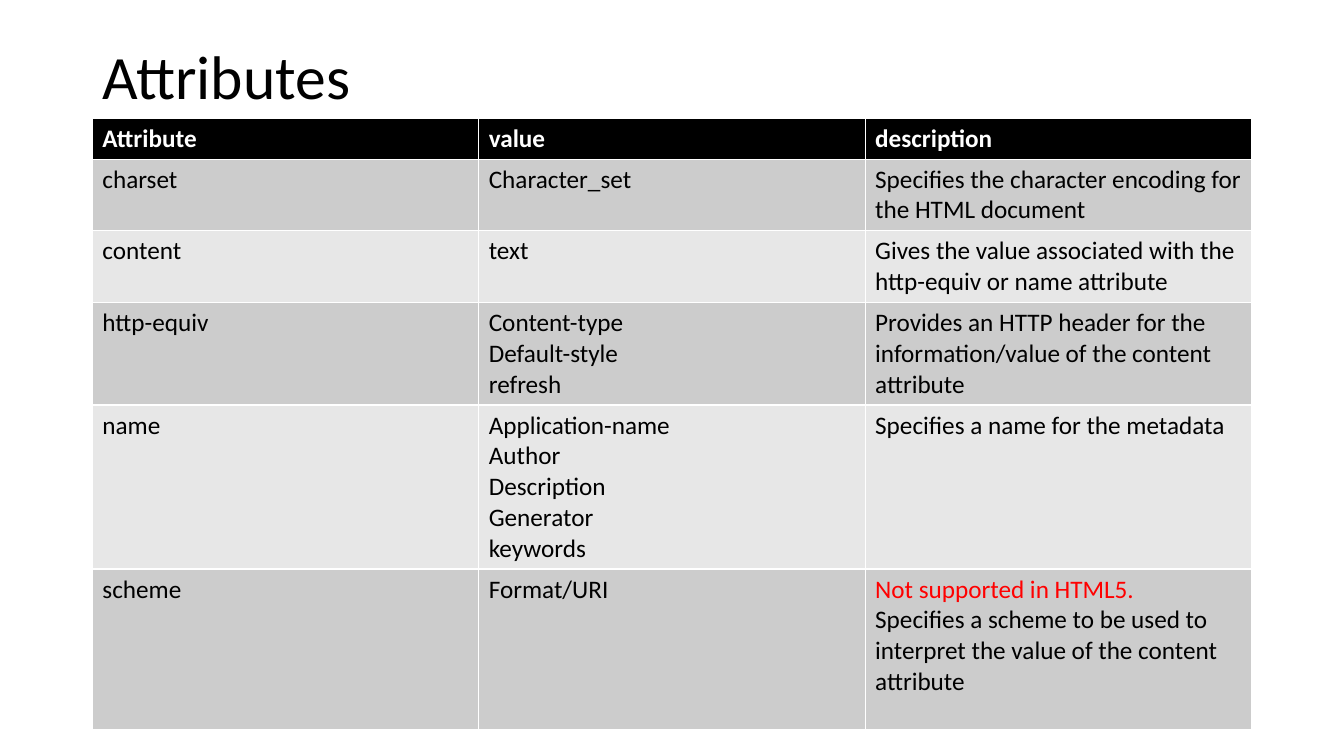
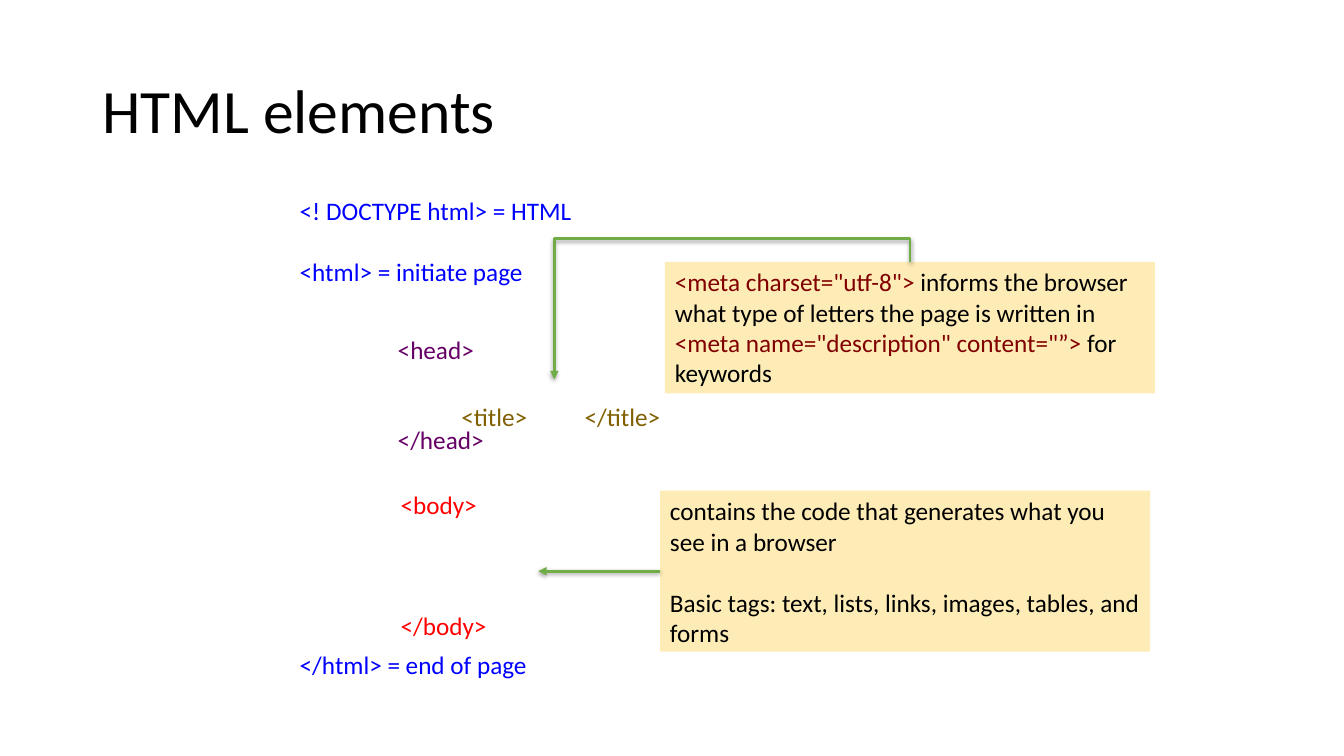
from lxml import etree
from pptx import Presentation
from pptx.dml.color import RGBColor
from pptx.enum import shapes, text
from pptx.oxml import ns
from pptx.util import Pt

COLORS = {
    "ink": "000000", "paper": "FFFFFF", "band": "CCCCCC", "light": "E7E7E7",
    "red": "FF0000", "blue": "0000FF", "purple": "660066", "olive": "806000",
    "maroon": "800000", "note": "FEE599", "green": "70AD47",
}
LINE = 22


def rgb(name):
    return RGBColor.from_string(COLORS[name])


def sub(parent, tag, **attrs):
    return etree.SubElement(parent, ns.qn(tag), {k: str(v) for k, v in attrs.items()})


class Deck:
    font = "Calibri"
    left, width = 66, 828

    def __init__(self):
        self.prs = Presentation()
        self.prs.slide_width, self.prs.slide_height = Pt(960), Pt(540)
        self.s = None

    def slide(self, title, height):
        self.s = self.prs.slides.add_slide(self.prs.slide_layouts[6])
        tf = self.text(self.left, 29, self.width, height, [title], size=44)
        tf.vertical_anchor = text.MSO_ANCHOR.MIDDLE
        tf.paragraphs[0].line_spacing = 0.9

    def set_text(self, tf, paras, color="ink", size=18, bold=False, gap=0):
        tf.word_wrap = True
        for i, para in enumerate(paras):
            p = tf.paragraphs[0] if i == 0 else tf.add_paragraph()
            p.alignment = text.PP_ALIGN.LEFT
            if i and gap:
                p.space_before = Pt(gap)
            p.font.name, p.font.size, p.font.bold = self.font, Pt(size), bold
            if isinstance(para, str):
                p.font.color.rgb = rgb(color)
                p.add_run().text = para
                continue
            for words, shade in para:
                r = p.add_run()
                r.text = words
                r.font.color.rgb = rgb(shade)

    def text(self, x, y, w, h, paras, **style):
        tf = self.s.shapes.add_textbox(Pt(x), Pt(y), Pt(w), Pt(h)).text_frame
        self.set_text(tf, paras, **style)
        return tf

    def note(self, x, y, w, h, paras, **style):
        sp = self.s.shapes.add_shape(shapes.MSO_SHAPE.RECTANGLE, Pt(x), Pt(y), Pt(w), Pt(h))
        sp.shadow.inherit = False
        sp.fill.solid()
        sp.fill.fore_color.rgb = rgb("note")
        sub(sp._element.spPr.find(".//" + ns.qn("a:srgbClr")), "a:alpha", val=70000)
        sp.line.fill.background()
        sp.text_frame.vertical_anchor = text.MSO_ANCHOR.TOP
        self.set_text(sp.text_frame, paras, **style)
        return sp

    def arrow(self, kind, x1, y1, x2, y2):
        c = self.s.shapes.add_connector(kind, Pt(x1), Pt(y1), Pt(x2), Pt(y2))
        c.line.color.rgb = rgb("green")
        c.line.width = Pt(2)
        spPr = c._element.spPr
        sub(spPr.find(ns.qn("a:ln")), "a:tailEnd", type="triangle")
        shadow = sub(sub(spPr, "a:effectLst"), "a:outerShdw", blurRad=Pt(3.1),
                     dist=Pt(1.6), dir=5400000, rotWithShape=0)
        sub(sub(shadow, "a:srgbClr", val=COLORS["ink"]), "a:alpha", val=38000)
        return c

    def straight_arrow(self, box, x, y):
        c = self.arrow(shapes.MSO_CONNECTOR.STRAIGHT, x, y, x, y)
        c.begin_connect(box, 1)

    def over_arrow(self, x1, y1, x2, y2, rise):
        w, h = y2 - y1, x1 - x2
        x, y = (x1 + x2 - w) / 2, (y1 + y2 - h) / 2
        c = self.arrow(shapes.MSO_CONNECTOR.ELBOW, x, y, x + w, y + h)
        spPr = c._element.spPr
        spPr.find(ns.qn("a:xfrm")).set("rot", "5400000")
        geom = spPr.find(ns.qn("a:prstGeom"))
        guides = geom.find(ns.qn("a:avLst"))
        if guides is None:
            guides = sub(geom, "a:avLst")
        sub(guides, "a:gd", name="adj1", fmla=f"val {round(-rise / w * 100000)}")

    def table(self, y, rows, heights):
        cols = len(rows[0])
        frame = self.s.shapes.add_table(len(rows), cols, Pt(self.left), Pt(y),
                                        Pt(self.width), Pt(sum(heights)))
        for i, row in enumerate(rows):
            frame.table.rows[i].height = Pt(heights[i])
            fill = "ink" if i == 0 else "band" if i % 2 else "light"
            for j, paras in enumerate(row):
                cell = frame.table.cell(i, j)
                self.set_text(cell.text_frame, paras, color="ink" if i else "paper",
                              bold=i == 0)
                tcPr = cell._tc.get_or_add_tcPr()
                for side in ("a:lnL", "a:lnR", "a:lnT", "a:lnB"):
                    ln = sub(tcPr, side, w=Pt(1))
                    sub(sub(ln, "a:solidFill"), "a:srgbClr", val=COLORS["paper"])
                cell.fill.solid()
                cell.fill.fore_color.rgb = rgb(fill)


def attributes(d):
    d.slide("Attributes", 55)
    rows = [
        (["Attribute"], ["value"], ["description"]),
        (["charset"], ["Character_set"],
         ["Specifies the character encoding for the HTML document"]),
        (["content"], ["text"],
         ["Gives the value associated with the http-equiv or name attribute"]),
        (["http-equiv"], ["Content-type", "Default-style", "refresh"],
         ["Provides an HTTP header for the information/value of the content attribute"]),
        (["name"], ["Application-name", "Author", "Description", "Generator", "keywords"],
         ["Specifies a name for the metadata"]),
        (["scheme"], ["Format/URI"],
         [[("Not supported in HTML5.", "red")],
          "Specifies a scheme to be used to interpret the value of the content attribute"]),
    ]
    d.table(84.5, rows, [n * LINE + 7.2 for n in (1, 2, 2, 3, 5)] + [115])


def html_elements(d):
    d.slide("HTML elements", 104)
    d.text(207, 136, 258, 66, ["<! DOCTYPE html> = HTML", "<html> = initiate page"],
           color="blue", gap=LINE)
    d.text(207, 460.5, 258, 29, ["</html> = end of page"], color="blue")
    d.text(277, 235, 76, 94, ["<head>", "</head>"], color="purple", gap=2 * LINE - 1)
    tf = d.text(322.5, 283, 162, 29, ["<title>\t</title>"], color="olive")
    tabs = etree.Element(ns.qn("a:tabLst"))
    sub(tabs, "a:tab", pos=Pt(88), algn="l")
    tf.paragraphs[0]._p.get_or_add_pPr().insert(0, tabs)
    d.text(279, 346, 76, 115, ["<body>", "</body>"], color="red", gap=3 * LINE - 1)
    d.note(475, 187, 350, 94, [
        [('<meta charset="utf-8"> ', "maroon"),
         ("informs the browser what type of letters the page is written in", "ink")],
        [('<meta name="description" content="”>', "maroon"), (" for keywords", "ink")],
    ])
    d.over_arrow(650, 187, 396, 271, 16.5)
    body_note = d.note(471.5, 350.5, 350, 115, [
        "contains the code that generates what you see in a browser",
        "Basic tags: text, lists, links, images, tables, and forms",
    ], gap=LINE)
    d.straight_arrow(body_note, 384.5, 408)


def main():
    d = Deck()
    attributes(d)
    html_elements(d)
    d.prs.save("out.pptx")


if __name__ == "__main__":
    main()
